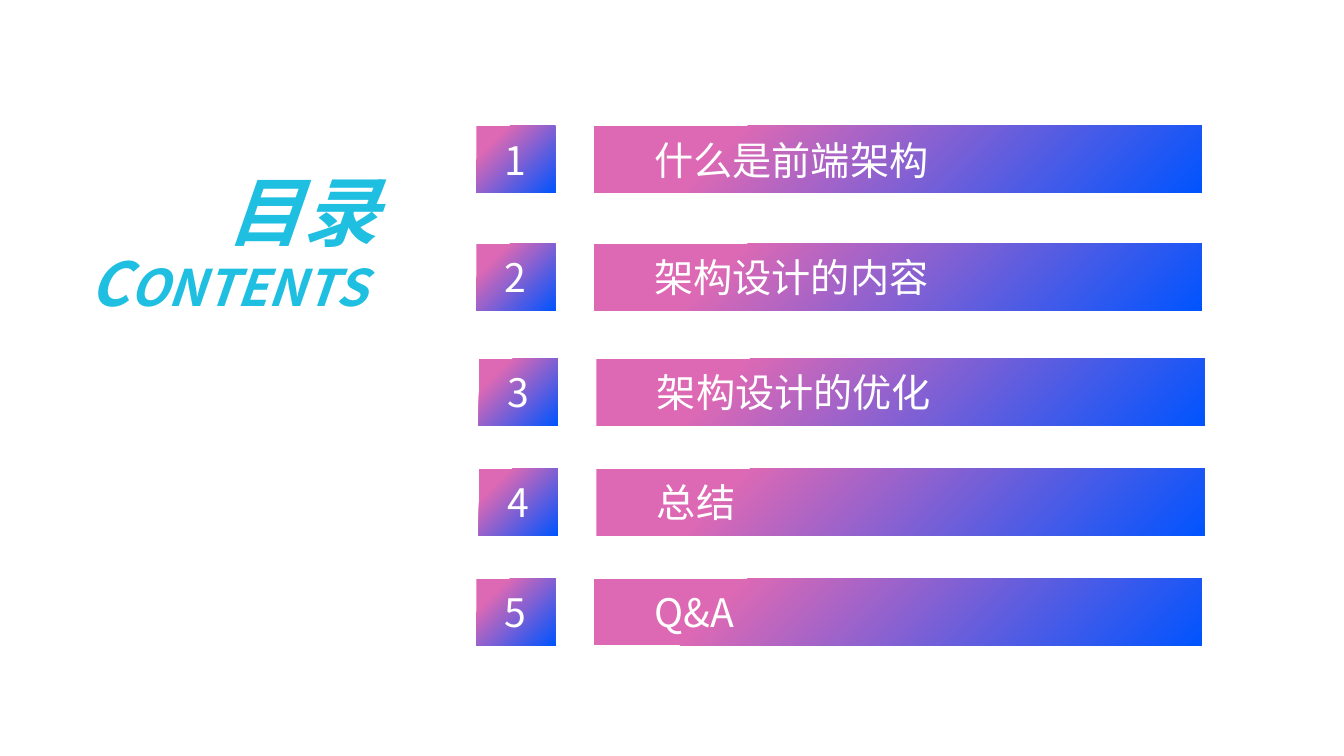
import pptx
import pptx.util
import pptx.dml.color
import pptx.enum.shapes
import pptx.enum.text
import pptx.oxml.ns
import lxml.etree

Pt = pptx.util.Pt
Align = pptx.enum.text.PP_ALIGN
Anchor = pptx.enum.text.MSO_ANCHOR

THEME = {
    "font": "Noto Sans CJK SC",
    "white": "FFFFFF",
    "bar": (315, (0.22, "DD69B4"), (1, "0054FF")),
    "title": (270, (0.25, "1FBFE1"), (0.58, "0283CA")),
    "subtitle": (270, (0.33, "1FBFE1"), (0.65, "0283CA")),
    "heading_size": 54,
    "subtitle_size": 36,
    "item_size": 28,
}


def paint(fill, colour):
    if isinstance(colour, str):
        fill.solid()
        fill.fore_color.rgb = pptx.dml.color.RGBColor.from_string(colour)
        return
    angle, *stops = colour
    fill.gradient()
    fill.gradient_angle = angle
    for stop, (position, value) in zip(fill.gradient_stops, stops):
        stop.position = position
        stop.color.rgb = pptx.dml.color.RGBColor.from_string(value)


def write(para, text, colour, **formats):
    span = para.add_run()
    span.text = text
    paint(span.font.fill, colour)
    for name, value in {"name": THEME["font"], **formats}.items():
        setattr(span.font, name, value)
    properties = span.font._element
    east_asian = lxml.etree.SubElement(properties, pptx.oxml.ns.qn("a:ea"))
    east_asian.set("typeface", THEME["font"])
    return properties


deck = pptx.Presentation()
deck.slide_width, deck.slide_height = Pt(960), Pt(540)
page = deck.slides.add_slide(deck.slide_layouts[5])

title = page.shapes.title
subtitle = page.shapes.add_textbox(Pt(-24.5), Pt(161.3), Pt(375), Pt(72.7))
for name, value in {"left": 150.5, "top": 114.5, "width": 131, "height": 72.7}.items():
    setattr(title, name, Pt(value))

for box in (title, subtitle):
    frame = box.text_frame
    frame.word_wrap = True
    frame.vertical_anchor = Anchor.TOP
    frame.auto_size = pptx.enum.text.MSO_AUTO_SIZE.SHAPE_TO_FIT_TEXT
    frame.paragraphs[0].alignment = Align.CENTER

heading = {"size": Pt(THEME["heading_size"]), "bold": True, "italic": True}
write(title.text_frame.paragraphs[0], "目录", THEME["title"], **heading)
para = subtitle.text_frame.paragraphs[0]
initial = write(para, "c", THEME["subtitle"], **heading)
initial.set("cap", "small")
write(para, "ONTENTS", THEME["subtitle"], **{**heading, "size": Pt(THEME["subtitle_size"])})

items = [
    ("什么是前端架构", 0, 90),
    ("架构设计的内容", 0, 174.2),
    ("架构设计的优化", 1.8, 256.3),
    ("总结", 1.8, 334.8),
    ("Q&A", 0, 413.3),
]
for number, (label, shift, top) in enumerate(items, 1):
    parts = [
        (label, 424.2, 434.2, Align.LEFT),
        (str(number), 340.3, 56.2, Align.CENTER),
    ]
    for text, left, width, alignment in parts:
        box = page.shapes.add_shape(
            pptx.enum.shapes.MSO_SHAPE.PARALLELOGRAM,
            Pt(left + shift), Pt(top), Pt(width), Pt(47.8),
        )
        box.adjustments[0] = 0
        box.shadow.inherit = False
        box.line.fill.background()
        paint(box.fill, THEME["bar"])
        box.text_frame.vertical_anchor = Anchor.MIDDLE
        para = box.text_frame.paragraphs[0]
        para.alignment = alignment
        write(para, text, THEME["white"], size=Pt(THEME["item_size"]))

deck.save("out.pptx")
